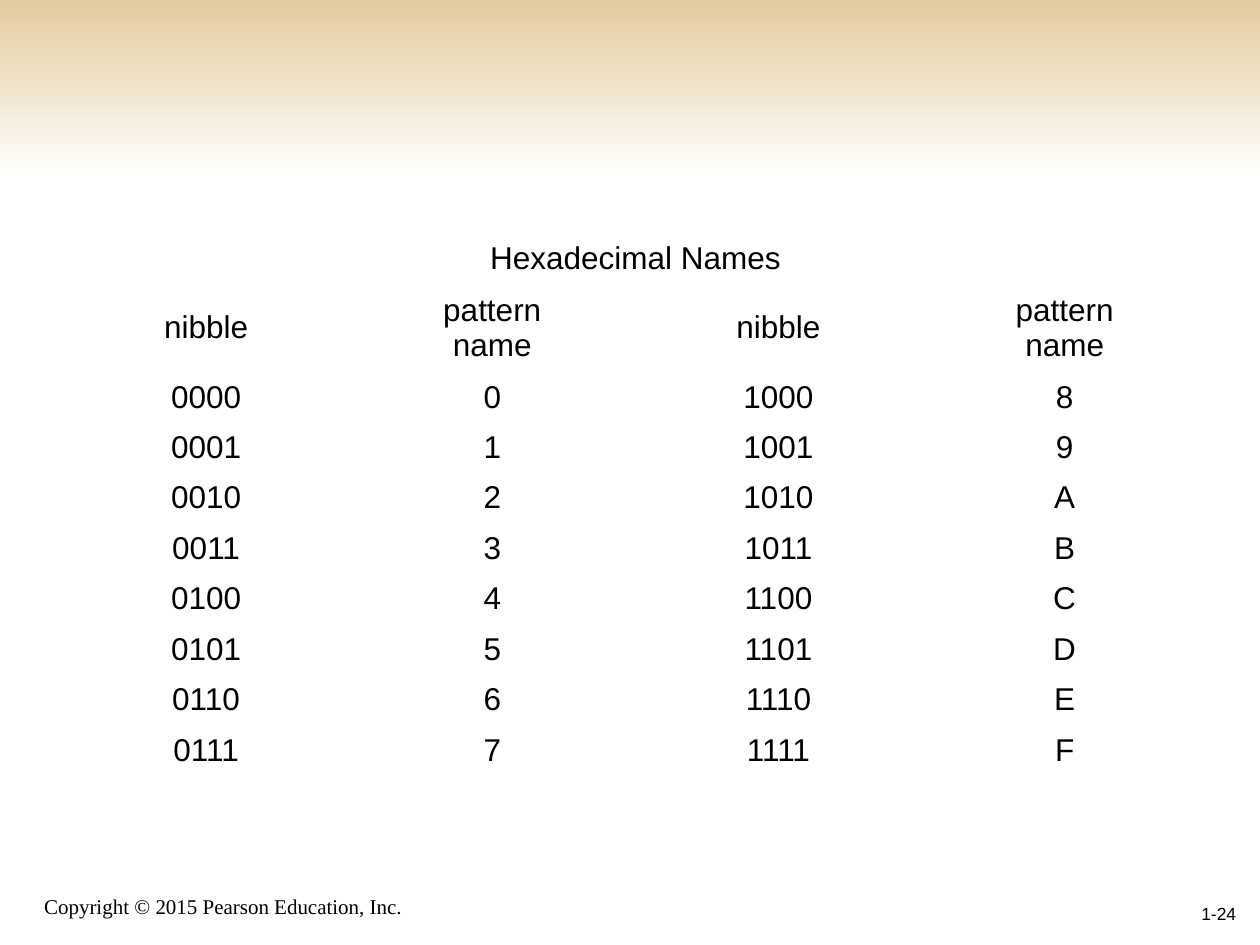
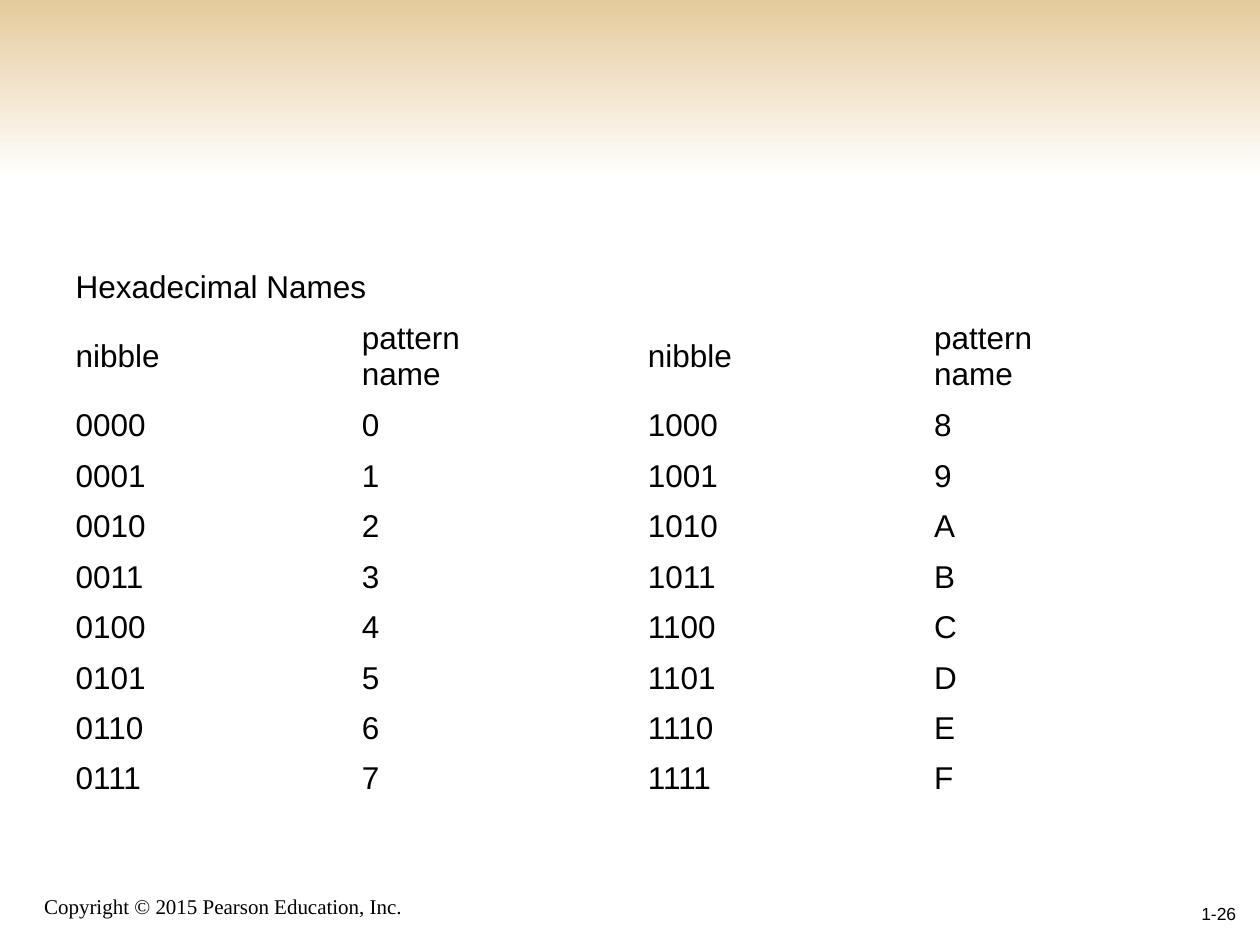
from dataclasses import dataclass

import pptx
import pptx.dml.color
import pptx.enum.shapes
import pptx.enum.text
import pptx.slide
import pptx.text.text
import pptx.util

Cm = pptx.util.Cm
RGB = pptx.dml.color.RGBColor
Align = pptx.enum.text.PP_ALIGN
Anchor = pptx.enum.text.MSO_ANCHOR


@dataclass(frozen=True)
class Font:
    name: str
    size: float


@dataclass(frozen=True)
class Theme:
    ink: RGB = RGB.from_string("000000")
    sand: RGB = RGB.from_string("E4CB9D")
    white: RGB = RGB.from_string("FFFFFF")
    body: Font = Font("Arial", 18)
    legal: Font = Font("Times New Roman", 12)
    number: Font = Font("Arial", 10)


@dataclass(frozen=True)
class Label:
    left: float
    top: float
    width: float
    height: float
    font: Font
    align: Align
    anchor: Anchor


@dataclass(frozen=True)
class Page:
    number: str
    top: float
    align: Align


THEME = Theme()
WIDTH, HEIGHT, BAND = 25.4, 19.05, 3.61
LEGAL = Label(0.64, 17.58, 15.44, 1.07, THEME.legal, Align.LEFT, Anchor.BOTTOM)
NUMBER = Label(19.89, 17.78, 5.28, 1.27, THEME.number, Align.RIGHT, Anchor.MIDDLE)
PAGES = [Page("1-24", 4.7, Align.CENTER), Page("1-26", 5.28, Align.LEFT)]

LEFT, SPAN, TALL, HEAD = 1.27, 23.08, 10.92, 1.78
HALF = 8
ROWS = [["Hexadecimal Names"], ["nibble", "pattern\nname"] * 2] + [
    [text for n in (low, low + HALF) for text in (f"{n:04b}", f"{n:X}")]
    for low in range(HALF)
]
COLS = 4


def write(frame: pptx.text.text.TextFrame, text: str, font: Font, align: Align) -> None:
    """Fill the first paragraph, with a line break at each newline."""
    para = frame.paragraphs[0]
    para.alignment = align
    for i, line in enumerate(text.split("\n")):
        if i:
            para.add_line_break()
        run = para.add_run()
        run.text = line
        run.font.name = font.name
        run.font.size = pptx.util.Pt(font.size)
        run.font.bold = False
        run.font.color.rgb = THEME.ink


def add_label(slide: pptx.slide.Slide, label: Label, text: str) -> None:
    box = slide.shapes.add_textbox(
        Cm(label.left), Cm(label.top), Cm(label.width), Cm(label.height))
    box.text_frame.word_wrap = True
    box.text_frame.vertical_anchor = label.anchor
    write(box.text_frame, text, label.font, label.align)


def add_band(slide: pptx.slide.Slide) -> None:
    band = slide.shapes.add_shape(
        pptx.enum.shapes.MSO_SHAPE.RECTANGLE, 0, 0, Cm(WIDTH), Cm(BAND))
    band.shadow.inherit = False
    band.line.fill.background()
    band.fill.gradient()
    band.fill.gradient_angle = 270
    for stop, shade in zip(band.fill.gradient_stops, (THEME.sand, THEME.white)):
        stop.color.rgb = shade


def add_names(slide: pptx.slide.Slide, page: Page) -> None:
    """Draw the table of nibbles and their hexadecimal names."""
    table = slide.shapes.add_table(
        len(ROWS), COLS, Cm(LEFT), Cm(page.top), Cm(SPAN), Cm(TALL)).table
    table.first_row = table.horz_banding = False
    for col in table.columns:
        col.width = Cm(SPAN / COLS)
    for row in table.rows:
        row.height = Cm((TALL - HEAD) / (len(ROWS) - 1))
    table.rows[1].height = Cm(HEAD)
    for cell in table.iter_cells():
        cell.fill.background()
    table.cell(0, 0).merge(table.cell(0, COLS - 1))
    for r, texts in enumerate(ROWS):
        for c, text in enumerate(texts):
            cell = table.cell(r, c)
            cell.vertical_anchor = Anchor.MIDDLE
            write(cell.text_frame, text, THEME.body, page.align)


def main() -> None:
    deck = pptx.Presentation()
    deck.slide_width, deck.slide_height = Cm(WIDTH), Cm(HEIGHT)
    for page in PAGES:
        slide = deck.slides.add_slide(deck.slide_layouts[6])
        add_band(slide)
        add_label(slide, LEGAL, "Copyright © 2015 Pearson Education, Inc.")
        add_names(slide, page)
        add_label(slide, NUMBER, page.number)
    deck.save("out.pptx")


if __name__ == "__main__":
    main()
